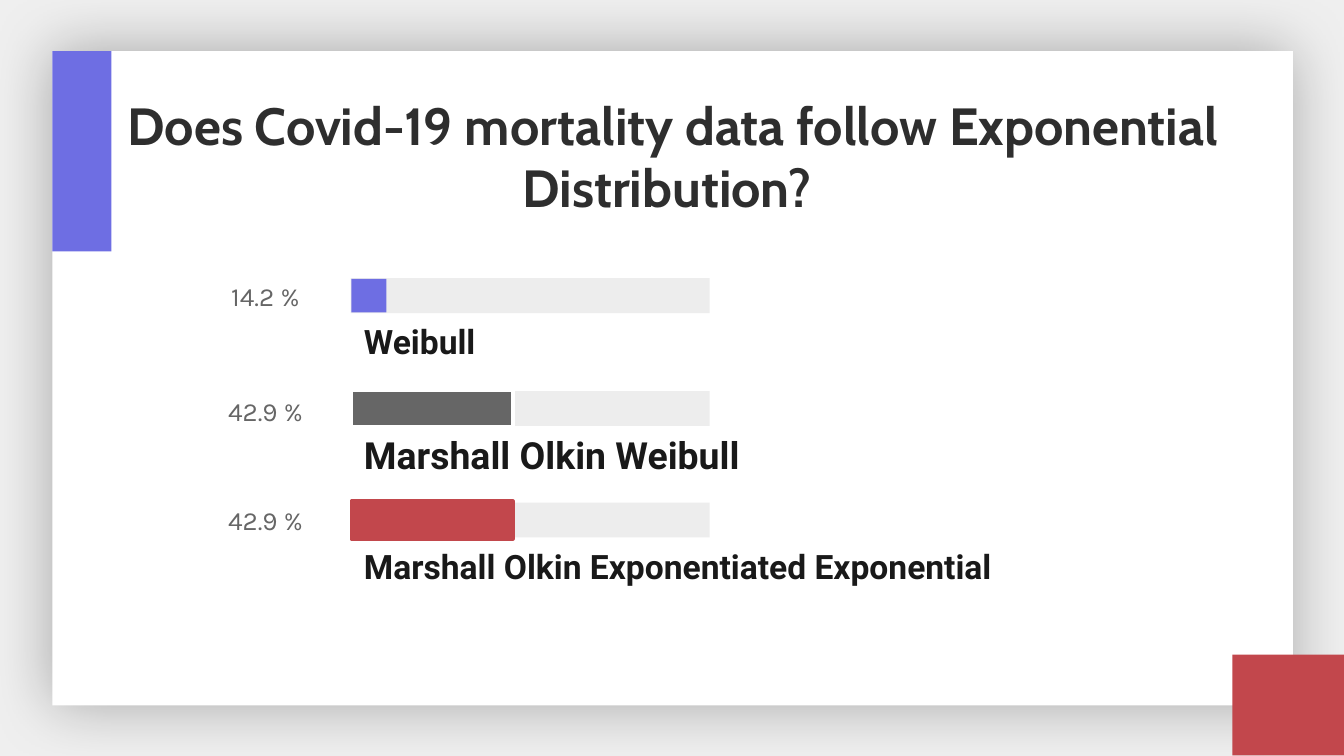
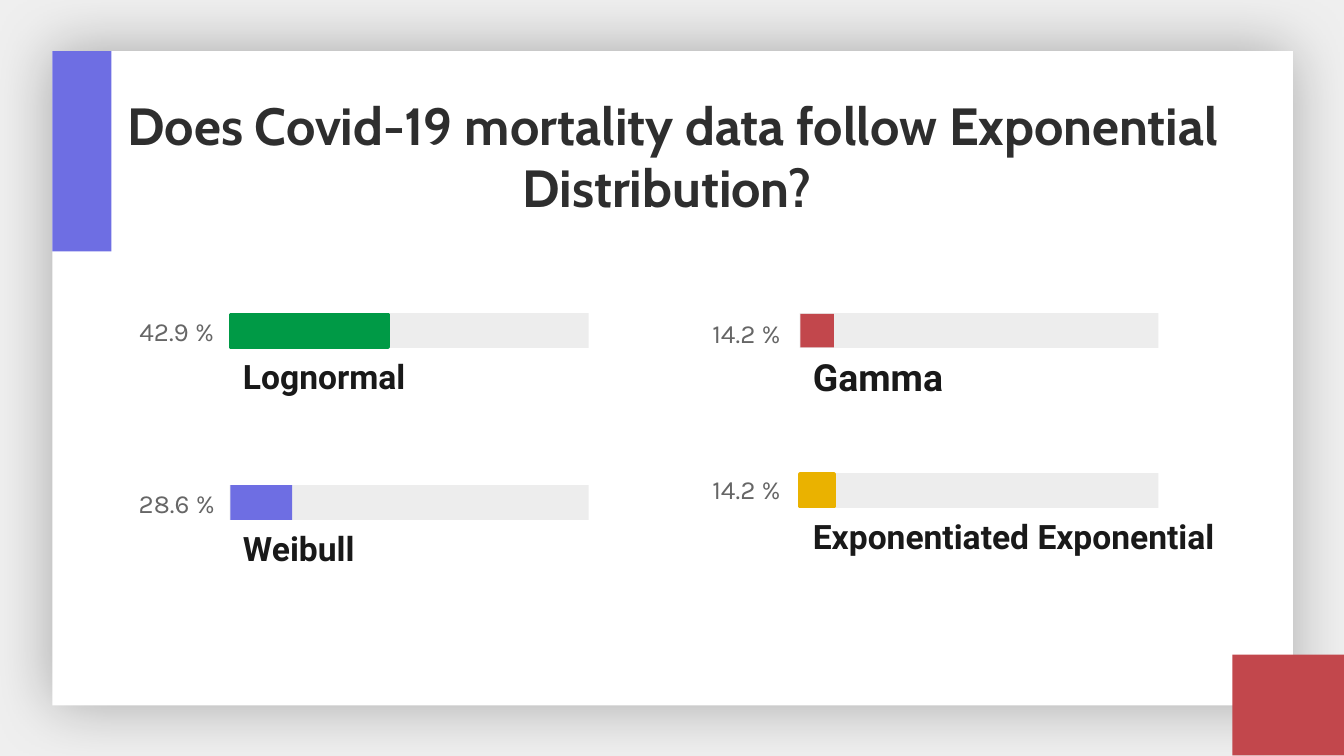
from lxml.etree import SubElement
from pptx import Presentation
from pptx.dml.color import RGBColor
from pptx.enum.shapes import MSO_SHAPE as SHAPE
from pptx.enum.text import MSO_ANCHOR as ANCHOR, MSO_AUTO_SIZE as FIT, PP_ALIGN as ALIGN
from pptx.oxml.ns import qn
from pptx.util import Pt

PX = 9144
COLORS = {
    "back": "EFEFEF", "card": "FFFFFF", "title": "2E2E2E", "name": "191919",
    "share": "666666", "track": "D9D9D9", "blue": "6E6EE3", "red": "C2474C",
    "gray": "666666", "green": "009A46", "yellow": "EAB200", "shadow": "000000",
}
TITLE = "Does Covid-19 mortality data follow Exponential Distribution? "
TITLE_BOX = (79, 59, 843, 63)
CARD = (39, 38, 923, 487)
ACCENTS = [((39, 38, 44, 149), "blue"), ((917, 487, 83, 75), "red")]
TRACK_W, BAR_H, SHARE_W, NAME_H, NAME_DROP = 267, 26, 79, 34, 30

# Each bar: name, name size, name width, share, share shift, track origin, bar size, fill, outline
SLIDES = [
    (103, [
        ("Weibull", 18, 267, "14.2 %", 0, (261, 207), (26, 25), "blue", None),
        ("Marshall Olkin Weibull", 20, 317, "42.9 %", 2, (261, 291), (120, 28), "gray", "card"),
        ("Marshall Olkin Exponentiated Exponential", 18, 519, "42.9 %", 0,
         (261, 374), (120, 28), "red", "red"),
    ]),
    (79, [
        ("Lognormal", 18, 360, "42.9 %", 0, (171, 233), (117, 24), "green", "green"),
        ("Weibull", 18, 267, "28.6 %", 0, (171, 361), (46, 26), "blue", None),
        ("Gamma", 20, 267, "14.2 %", 2, (595, 233), (25, 25), "red", None),
        ("Exponentiated Exponential", 18, 343, "14.2 %", -1,
         (595, 352), (25, 24), "yellow", "yellow"),
    ]),
]


def rgb(name):
    return RGBColor.from_string(COLORS[name])


def emu(box):
    return [round(v * PX) for v in box]


def add_rect(s, box, fill, outline=None):
    sp = s.shapes.add_shape(SHAPE.RECTANGLE, *emu(box))
    sp.shadow.inherit = False
    sp.fill.solid()
    sp.fill.fore_color.rgb = rgb(fill)
    if outline:
        sp.line.color.rgb = rgb(outline)
        sp.line.width = Pt(2)
    else:
        sp.line.fill.background()
    return sp


def add_alpha(color, percent):
    SubElement(color, qn("a:alpha")).set("val", str(percent * 1000))


def add_card(s):
    effects = add_rect(s, CARD, "card").element.spPr.find(qn("a:effectLst"))
    glow = SubElement(effects, qn("a:outerShdw"), blurRad="429260", dist="0", algn="ctr")
    add_alpha(SubElement(glow, qn("a:srgbClr"), val=COLORS["shadow"]), 30)


def write(sp, text, font, size, color, align, anchor, inset=10, bold=False):
    tf = sp.text_frame
    tf.word_wrap, tf.auto_size, tf.vertical_anchor = True, FIT.NONE, anchor
    tf.margin_left = tf.margin_right = inset * PX
    tf.margin_top = tf.margin_bottom = 10 * PX
    p = tf.paragraphs[0]
    p.text, p.alignment = text, align
    p.font.name, p.font.size, p.font.bold = font, Pt(size), bold
    p.font.color.rgb = rgb(color)


def add_title(s):
    sp = s.shapes.title
    s.shapes.element.append(sp.element)
    sp.left, sp.top, sp.width, sp.height = emu(TITLE_BOX)
    write(sp, TITLE, "Cabin", 28, "title", ALIGN.CENTER, ANCHOR.TOP, bold=True)


def add_bar(s, share_gap, bar):
    name, size, name_w, share, shift, (x, y), (w, h), fill, outline = bar
    track = add_rect(s, (x, y, TRACK_W, BAR_H), "track")
    add_alpha(track.element.spPr.find(".//" + qn("a:srgbClr")), 46)
    add_rect(s, (x + 0.5, y + (BAR_H - h) / 2, w, h), fill, outline)
    sp = s.shapes.add_textbox(*emu((x - share_gap, y + shift, SHARE_W, BAR_H)))
    write(sp, share, "Karla", 14, "share", ALIGN.CENTER, ANCHOR.MIDDLE, inset=0)
    sp = s.shapes.add_textbox(*emu((x, y + NAME_DROP, name_w, NAME_H)))
    write(sp, name, "Roboto", size, "name", ALIGN.LEFT, ANCHOR.MIDDLE, bold=True)


def main():
    """Build the two slides of distribution bars."""
    prs = Presentation()
    prs.slide_width, prs.slide_height = emu((1000, 562.5))
    for share_gap, bars in SLIDES:
        s = prs.slides.add_slide(prs.slide_layouts[5])
        s.background.fill.solid()
        s.background.fill.fore_color.rgb = rgb("back")
        add_card(s)
        for box, color in ACCENTS:
            add_rect(s, box, color)
        add_title(s)
        for bar in bars:
            add_bar(s, share_gap, bar)
    prs.save("out.pptx")


if __name__ == "__main__":
    main()
